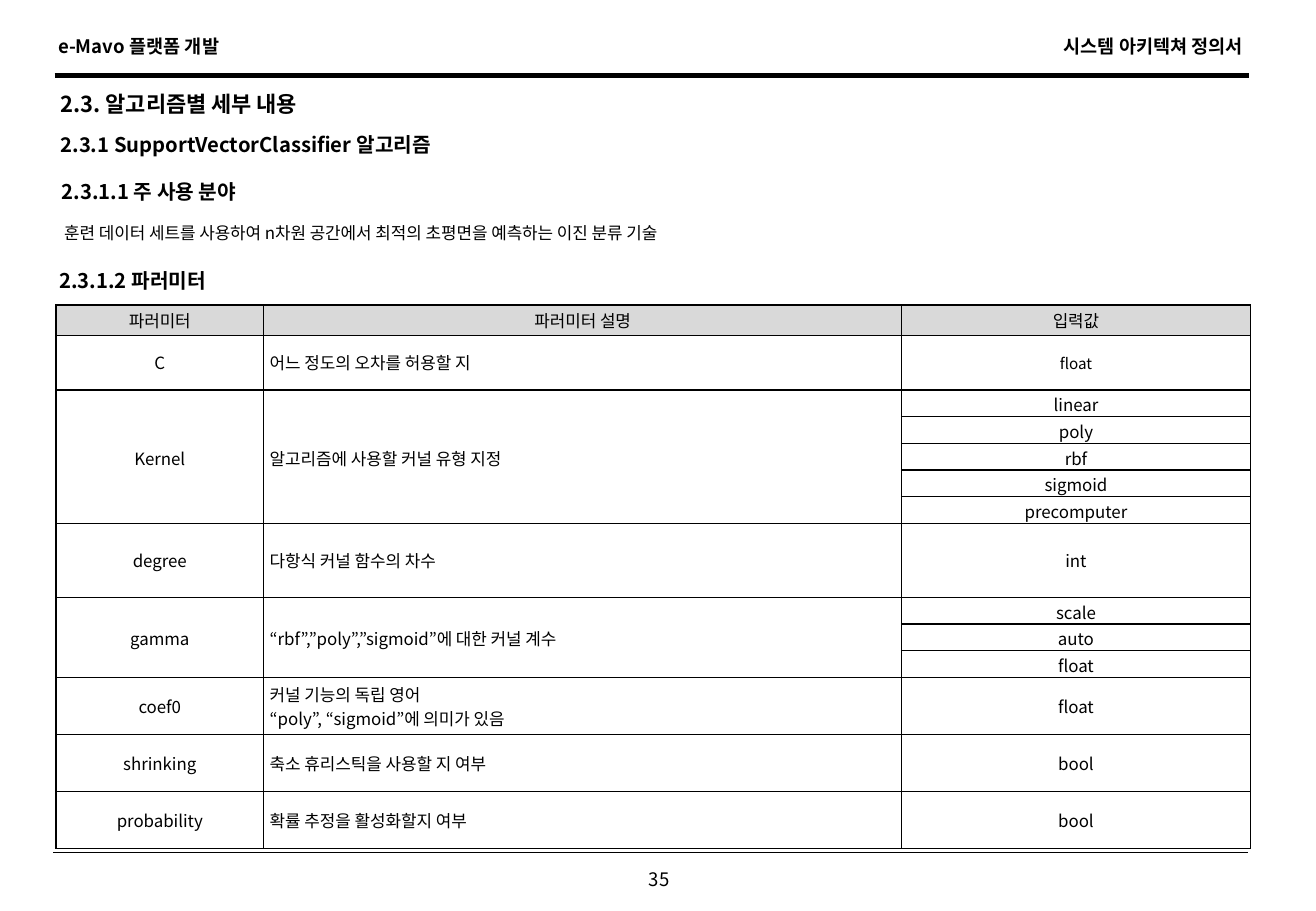
from dataclasses import dataclass

from lxml import etree
from pptx import Presentation
from pptx.dml.color import RGBColor
from pptx.enum import shapes, text
from pptx.oxml.ns import qn
from pptx.util import Inches, Pt


@dataclass
class Theme:
    font: str = "Noto Sans CJK KR"
    ink: str = "000000"
    head: str = "D9D9D9"
    title: int = 13
    sub: int = 12
    page: int = 11
    body: int = 10
    small: int = 9


theme = Theme()
LEFT, MID, RIGHT = text.PP_ALIGN.LEFT, text.PP_ALIGN.CENTER, text.PP_ALIGN.RIGHT
TOP, CENTER = text.MSO_ANCHOR.TOP, text.MSO_ANCHOR.MIDDLE


def write(frame, words, size, bold=False, align=LEFT):
    """Fill a text frame, one paragraph for each line of words."""
    for i, line in enumerate(words.split("\n")):
        para = frame.add_paragraph() if i else frame.paragraphs[0]
        para.alignment = align
        run = para.add_run()
        run.text = line
        font = run.font
        font.size, font.bold, font.name = Pt(size), bold, theme.font
        font.color.rgb = RGBColor.from_string(theme.ink)
        east = etree.SubElement(run._r.get_or_add_rPr(), qn("a:ea"))
        east.set("typeface", theme.font)


def border(cell):
    props = cell._tc.get_or_add_tcPr()
    for i, side in enumerate(("a:lnL", "a:lnR", "a:lnT", "a:lnB")):
        line = etree.Element(qn(side), w=str(Pt(1)))
        fill = etree.SubElement(line, qn("a:solidFill"))
        etree.SubElement(fill, qn("a:srgbClr"), val=theme.ink)
        props.insert(i, line)


deck = Presentation()
deck.slide_width, deck.slide_height = Inches(10.83), Inches(7.5)
slide = deck.slides.add_slide(deck.slide_layouts[5])

# Title
title = slide.shapes.title
title.left, title.top = Inches(0.4), Inches(0.65)
title.width, title.height = Inches(9.75), Inches(0.41)
frame = title.text_frame
frame.auto_size = text.MSO_AUTO_SIZE.NONE
frame.vertical_anchor = CENTER
write(frame, "2.3. 알고리즘별 세부 내용", theme.title, True)

# Page rules
for x, y, weight in ((0.44, 7.02, 0.75), (0.45, 0.62, 2.75)):
    rule = slide.shapes.add_connector(
        shapes.MSO_CONNECTOR.STRAIGHT,
        Inches(x), Inches(y), Inches(x + 9.83), Inches(y))
    rule.line.width = Pt(weight)
    rule.line.color.rgb = RGBColor.from_string(theme.ink)
    etree.SubElement(rule._element.spPr, qn("a:effectLst"))

# Header, footer, headings and intro
notes = [
    (5.21, 7.1, 0.43, 0.29, "35", theme.page, False, MID, TOP),
    (8.48, 0.24, 1.85, 0.29, "시스템 아키텍쳐 정의서", theme.page, True, RIGHT, TOP),
    (0.38, 0.24, 1.7, 0.29, "e-Mavo 플랫폼 개발", theme.page, True, LEFT, TOP),
    (0.4, 0.98, 9.75, 0.41, "2.3.1 SupportVectorClassifier 알고리즘",
     theme.sub, True, LEFT, CENTER),
    (0.41, 1.37, 9.75, 0.41, "2.3.1.1 주 사용 분야", theme.sub, True, LEFT, CENTER),
    (0.43, 1.75, 9.76, 0.34,
     "훈련 데이터 세트를 사용하여 n차원 공간에서 최적의 초평면을 예측하는 이진 분류 기술",
     theme.body, False, LEFT, CENTER),
    (0.39, 2.1, 9.75, 0.41, "2.3.1.2 파러미터", theme.sub, True, LEFT, CENTER),
]
for x, y, w, h, words, size, bold, align, anchor in notes:
    box = slide.shapes.add_textbox(Inches(x), Inches(y), Inches(w), Inches(h))
    frame = box.text_frame
    frame.word_wrap = True
    frame.vertical_anchor = anchor
    write(frame, words, size, bold, align)

# Parameter table: name, meaning, input values, height of each value row
params = [
    ("파러미터", "파러미터 설명", ["입력값"], 0.25),
    ("C", "어느 정도의 오차를 허용할 지", ["float"], 0.45),
    ("Kernel", "알고리즘에 사용할 커널 유형 지정",
     ["linear", "poly", "rbf", "sigmoid", "precomputer"], 0.22),
    ("degree", "다항식 커널 함수의 차수", ["int"], 0.61),
    ("gamma", "“rbf”,”poly”,”sigmoid”에 대한 커널 계수",
     ["scale", "auto", "float"], 0.22),
    ("coef0", "커널 기능의 독립 영어\n“poly”, “sigmoid”에 의미가 있음", ["float"], 0.47),
    ("shrinking", "축소 휴리스틱을 사용할 지 여부", ["bool"], 0.47),
    ("probability", "확률 추정을 활성화할지 여부", ["bool"], 0.47),
]
count = sum(len(values) for _, _, values, _ in params)
table = slide.shapes.add_table(
    count, 3, Inches(0.46), Inches(2.51), Inches(9.83), Inches(4.48)).table
table.first_row = table.horz_banding = False
for col, width in zip(table.columns, (1.71, 5.25, 2.87)):
    col.width = Inches(width)

row = 0
for name, about, values, height in params:
    last = row + len(values) - 1
    for i, value in enumerate(values):
        table.rows[row + i].height = Inches(height)
        size = theme.small if name == "C" else theme.body
        write(table.cell(row + i, 2).text_frame, value, size, align=MID)
    for col, words in enumerate((name, about)):
        cell = table.cell(row, col)
        if last > row:
            cell.merge(table.cell(last, col))
        align = LEFT if col and row else MID
        write(cell.text_frame, words, theme.body, align=align)
    row = last + 1

for r, line in enumerate(table.rows):
    tight = line.height < Inches(0.24)
    for cell in line.cells:
        cell.vertical_anchor = CENTER
        cell.margin_left = cell.margin_right = Inches(0.05)
        cell.margin_top = Inches(0.02)
        cell.margin_bottom = Inches(0 if tight else 0.02)
        if r:
            cell.fill.background()
        else:
            cell.fill.solid()
            cell.fill.fore_color.rgb = RGBColor.from_string(theme.head)
        border(cell)
        if cell.is_spanned:
            for para in cell.text_frame.paragraphs:
                para.font.size = Pt(theme.small)

deck.save("out.pptx")
